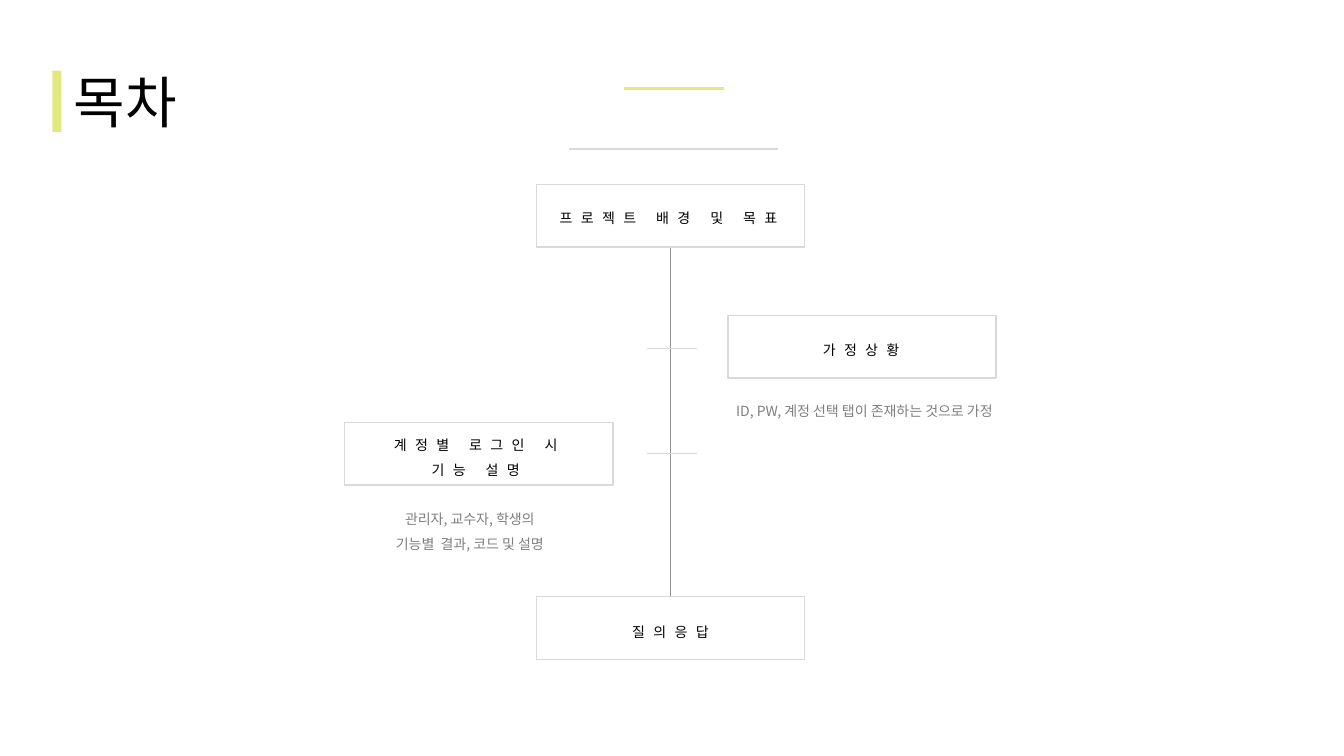
from dataclasses import dataclass

from lxml.etree import SubElement
from pptx import Presentation
from pptx.dml.color import RGBColor
from pptx.enum.shapes import MSO_CONNECTOR as Connector, MSO_SHAPE as Shape
from pptx.enum.text import MSO_ANCHOR as Anchor, MSO_AUTO_SIZE as AutoSize, PP_ALIGN as Align
from pptx.oxml.ns import qn
from pptx.util import Inches, Pt


@dataclass(frozen=True)
class Theme:
    font: str = "Noto Sans CJK KR"
    ink: str = "000000"
    muted: str = "7F7F7F"
    paper: str = "FFFFFF"
    border: str = "D9D9D9"
    spine: str = "929292"
    accent: str = "E1E97F"
    title_size: int = 40
    body_size: int = 10


THEME = Theme()
BOX_WIDTH, BOX_HEIGHT = 2.66, 0.62


def color(value):
    return RGBColor.from_string(value)


def lengths(*values):
    return [Inches(value) for value in values]


def write(box, lines, size=THEME.body_size, ink=THEME.ink, align=Align.CENTER,
          anchor=Anchor.TOP, leading=1.5, tracking=0, insets=(0.03, 0.03), wrap=True):
    """Fill a shape with one paragraph per line."""
    frame = box.text_frame
    frame.word_wrap = wrap
    frame.auto_size = AutoSize.SHAPE_TO_FIT_TEXT
    frame.vertical_anchor = anchor
    frame.margin_left = frame.margin_right = Inches(insets[0])
    frame.margin_top = frame.margin_bottom = Inches(insets[1])
    for index, line in enumerate(lines):
        para = frame.paragraphs[0] if index == 0 else frame.add_paragraph()
        para.alignment = align
        para.line_spacing = leading
        span = para.add_run()
        span.text = line
        span.font.size = Pt(size)
        span.font.name = THEME.font
        span.font.color.rgb = color(ink)
        properties = span.font._element
        SubElement(properties, qn("a:ea")).set("typeface", THEME.font)
        if tracking:
            properties.set("spc", str(tracking * 100))


def add_rectangle(shapes, left, top, width, height, fill=THEME.paper, border=None):
    box = shapes.add_shape(Shape.RECTANGLE, *lengths(left, top, width, height))
    box.shadow.inherit = False
    box.fill.solid()
    box.fill.fore_color.rgb = color(fill)
    if border:
        box.line.color.rgb = color(border)
        box.line.width = Pt(1)
    else:
        box.line.fill.background()
    return box


def add_line(page, start, end, ink, weight):
    line = page.shapes.add_connector(Connector.STRAIGHT, *lengths(*start, *end))
    line.line.color.rgb = color(ink)
    line.line.width = Pt(weight)
    SubElement(line._element.spPr, qn("a:effectLst"))


def add_topic(page, left, top, lines, label):
    """Group a bordered box with its spaced-out label; label is relative to the box."""
    group = page.shapes.add_group_shape()
    add_rectangle(group.shapes, left, top, BOX_WIDTH, BOX_HEIGHT, border=THEME.border)
    inset_x, inset_y, width, height = label
    box = add_rectangle(group.shapes, left + inset_x, top + inset_y, width, height)
    write(box, lines, tracking=6, anchor=Anchor.MIDDLE)


def add_note(page, left, top, width, height, lines, align):
    box = page.shapes.add_textbox(*lengths(left, top, width, height))
    write(box, lines, ink=THEME.muted, align=align, insets=(0.03, 0.05))


def add_title(page, text):
    title = page.shapes.title
    title.left, title.top, title.width, title.height = lengths(0.63, 0.62, 1.23, 0.77)
    write(title, [text], size=THEME.title_size, align=Align.LEFT, leading=1.0,
          insets=(0.1, 0.05), wrap=False)
    add_rectangle(page.shapes, 0.52, 0.7, 0.09, 0.61, fill=THEME.accent)


def main():
    deck = Presentation()
    deck.slide_width, deck.slide_height = lengths(13.33, 7.5)
    page = deck.slides.add_slide(deck.slide_layouts[5])
    add_title(page, "목차")

    # Central spine, with the topics around it
    add_line(page, (6.65, 2.34), (6.65, 5.93), THEME.spine, 1)
    add_topic(page, 3.42, 4.19, ["계정별 로그인 시 ", "기능 설명 "], (0.08, 0.04, 2.55, 0.53))
    add_topic(page, 7.22, 3.13, ["가정상황"], (0.02, 0.16, 2.6, 0.28))
    add_topic(page, 5.32, 1.83, ["프로젝트 배경 및 목표"], (0.04, 0.15, 2.54, 0.28))
    add_topic(page, 5.32, 5.92, ["질의응답"], (0.03, 0.17, 2.6, 0.28))

    # Notes under the side topics
    add_note(page, 7.24, 3.86, 3.4, 0.33,
             [" ID, PW, 계정 선택 탭이 존재하는 것으로 가정"], Align.LEFT)
    add_note(page, 3.33, 4.93, 2.66, 0.58,
             ["관리자, 교수자, 학생의", "기능별  결과, 코드 및 설명"], Align.CENTER)

    # Heading rules and spine ticks
    add_line(page, (5.64, 1.48), (7.72, 1.48), THEME.border, 1.25)
    add_line(page, (6.19, 0.88), (7.18, 0.88), THEME.accent, 2)
    for height in (3.45, 4.5):
        add_line(page, (6.91, height), (6.42, height), THEME.border, 0.25)

    deck.save("out.pptx")


if __name__ == "__main__":
    main()
